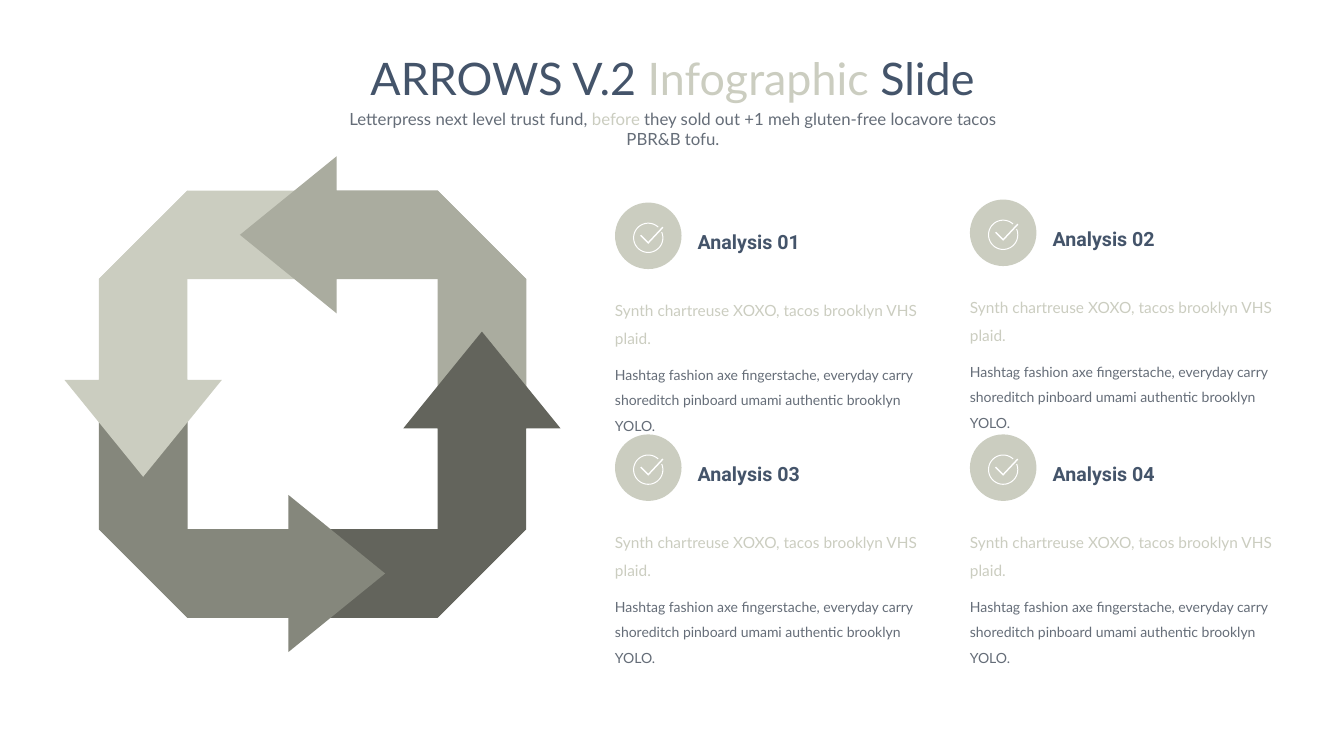
from math import cos, radians, sin

from pptx import Presentation
from pptx.dml.color import RGBColor
from pptx.enum.shapes import MSO_SHAPE
from pptx.enum.text import MSO_ANCHOR, PP_ALIGN
from pptx.util import Inches, Pt

OVAL = MSO_SHAPE.OVAL
TOP, MIDDLE = MSO_ANCHOR.TOP, MSO_ANCHOR.MIDDLE
CENTER = PP_ALIGN.CENTER

NAVY, SLATE, SAND, WHITE = "44546A", "656D78", "CBCDC0", "FFFFFF"
SAGE, OLIVE, CHARCOAL = "AAAC9F", "85877C", "63645C"

presentation = Presentation()
presentation.slide_width = Inches(13.33)
presentation.slide_height = Inches(7.5)
slide = presentation.slides.add_slide(presentation.slide_layouts[5])
shapes = slide.shapes


def write_runs(paragraph, pieces, font_name, size, bold=False):
    for text, color in pieces:
        run = paragraph.add_run()
        run.text = text
        run.font.name = font_name
        run.font.size = Pt(size)
        run.font.bold = bold
        run.font.color.rgb = RGBColor.from_string(color)


def add_outline(contours, center_x, center_y, color):
    placed = [[(Inches(center_x + x), Inches(center_y + y)) for x, y in contour]
              for contour in contours]
    builder = shapes.build_freeform(*placed[0][0])
    builder.add_line_segments(placed[0][1:])
    for contour in placed[1:]:
        builder.move_to(*contour[0])
        builder.add_line_segments(contour[1:])
    shape = builder.convert_to_shape()
    shape.shadow.inherit = False
    shape.fill.solid()
    shape.fill.fore_color.rgb = RGBColor.from_string(color)
    shape.line.fill.background()


title = shapes.title
title.left, title.top = Inches(2.54), Inches(0.45)
title.width, title.height = Inches(8.26), Inches(0.64)
subtitle = shapes.add_textbox(Inches(3.2), Inches(1.03), Inches(6.95), Inches(0.3))
headers = [
    (title, 32, [("ARROWS V.2 ", NAVY), ("Infographic ", SAND), ("Slide", NAVY)]),
    (subtitle, 12, [
        ("Letterpress next level trust fund, ", SLATE),
        ("before", SAND),
        (" they sold out +1 meh gluten-free locavore tacos PBR&B tofu.", SLATE),
    ]),
]
for shape, size, pieces in headers:
    shape.text_frame.word_wrap = True
    shape.text_frame.vertical_anchor = TOP
    paragraph = shape.text_frame.paragraphs[0]
    paragraph.alignment = CENTER
    write_runs(paragraph, pieces, "Lato", size)

CYCLE_X, CYCLE_Y = 3.1, 4.01
OUTER, INNER, NECK = 2.12, 1.24, 0.24
tail = [(INNER, -OUTER), (INNER, NECK), (OUTER, NECK), (OUTER, -INNER)]
head = [(OUTER, -INNER), (INNER, -OUTER), (NECK, -OUTER), (NECK, -2.46),
        (-0.72, -1.68), (NECK, -0.9), (NECK, -INNER)]
arrow_parts = [(tail, 0, SAGE)]
for turn, color in enumerate([CHARCOAL, OLIVE, SAND], start=1):
    arrow_parts += [(tail, turn, color), (head, turn, color)]
arrow_parts.append((head, 0, SAGE))
for points, quarter_turns, color in arrow_parts:
    for _ in range(quarter_turns):
        points = [(-y, x) for x, y in points]
    add_outline([points], CYCLE_X, CYCLE_Y, color)

arc = [radians(angle) for angle in range(-23, 319, 6)]
ring = [(0.15 * cos(angle), 0.15 * sin(angle)) for angle in arc]
ring += [(0.14 * cos(angle), 0.14 * sin(angle)) for angle in reversed(arc)]
tick = [(0, 0.04), (-0.07, -0.03), (-0.08, -0.02), (0, 0.06),
        (0.15, -0.1), (0.14, -0.11)]

BADGE = 0.66
COLUMNS = [6.1, 9.62]
ROWS = [[2.01, 1.98], [4.31, 4.31]]
details = [
    ("Synth chartreuse XOXO, tacos brooklyn VHS plaid.", 11, SAND),
    ("Hashtag fashion axe fingerstache, everyday carry shoreditch pinboard "
     "umami authentic brooklyn YOLO.", 10, SLATE),
]
for row, tops in enumerate(ROWS):
    for column, (left, top) in enumerate(zip(COLUMNS, tops)):
        badge = shapes.add_shape(OVAL, Inches(left), Inches(top),
                                 Inches(BADGE), Inches(BADGE))
        badge.shadow.inherit = False
        badge.fill.solid()
        badge.fill.fore_color.rgb = RGBColor.from_string(SAND)
        badge.line.fill.background()
        add_outline([ring, tick], left + BADGE / 2, top + 0.35, WHITE)

        heading = shapes.add_textbox(Inches(left + 0.82), Inches(top + 0.21),
                                     Inches(1.93), Inches(0.28))
        body = shapes.add_textbox(Inches(left), Inches(top + 0.89),
                                  Inches(3.1), Inches(0.87))
        for box in (heading, body):
            frame = box.text_frame
            frame.word_wrap = True
            frame.margin_left = frame.margin_right = 0
            frame.margin_top = frame.margin_bottom = 0

        heading.text_frame.vertical_anchor = MIDDLE
        paragraph = heading.text_frame.paragraphs[0]
        paragraph.line_spacing = 1.3
        number = row * len(COLUMNS) + column + 1
        write_runs(paragraph, [(f"Analysis {number:02}", NAVY)], "Roboto", 14, True)

        for index, (text, size, color) in enumerate(details):
            if index == 0:
                paragraph = body.text_frame.paragraphs[0]
            else:
                paragraph = body.text_frame.add_paragraph()
                paragraph.space_before = Pt(7.5)
            paragraph.line_spacing = 1.5
            write_runs(paragraph, [(text, color)], "Lato", size)

presentation.save("out.pptx")
